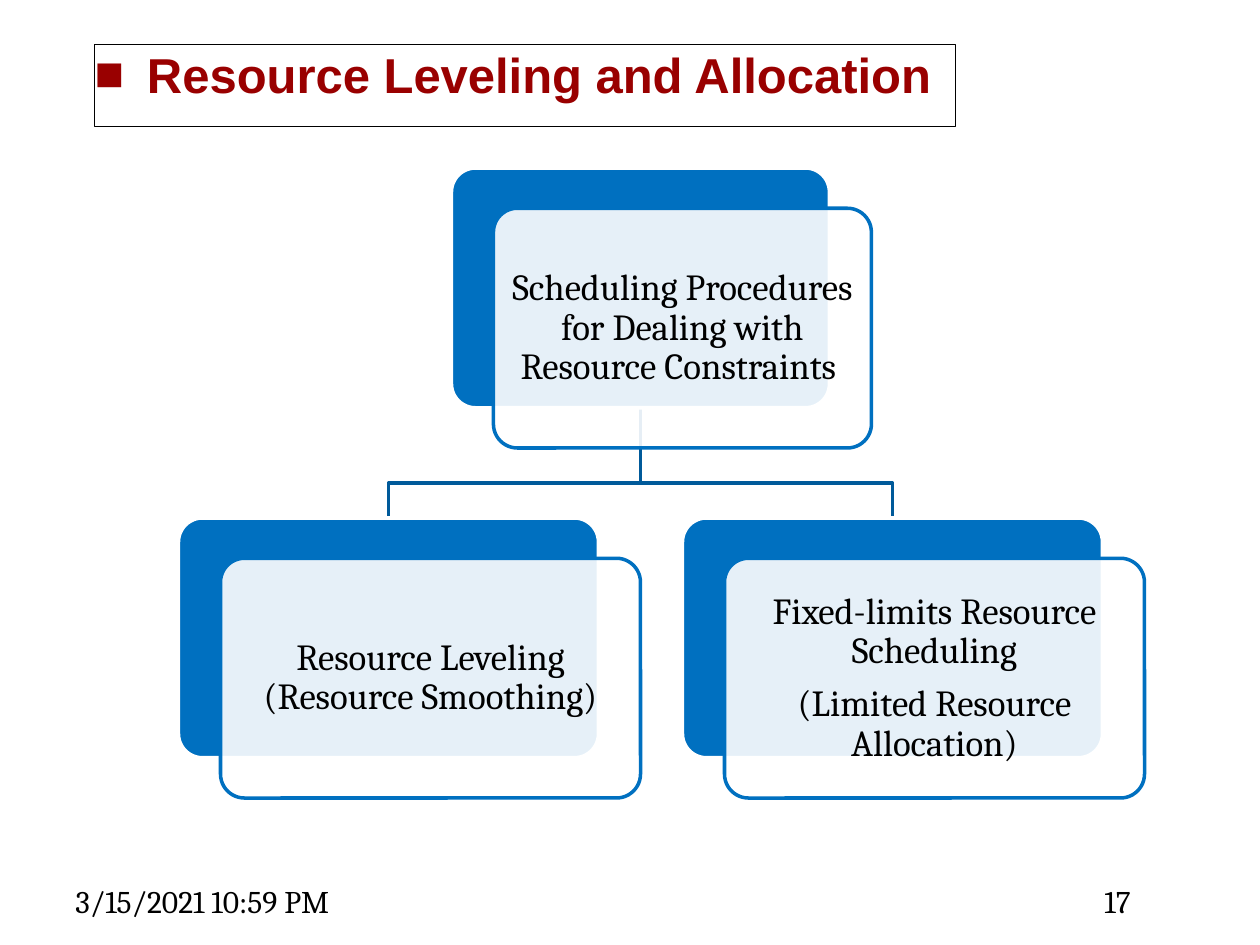
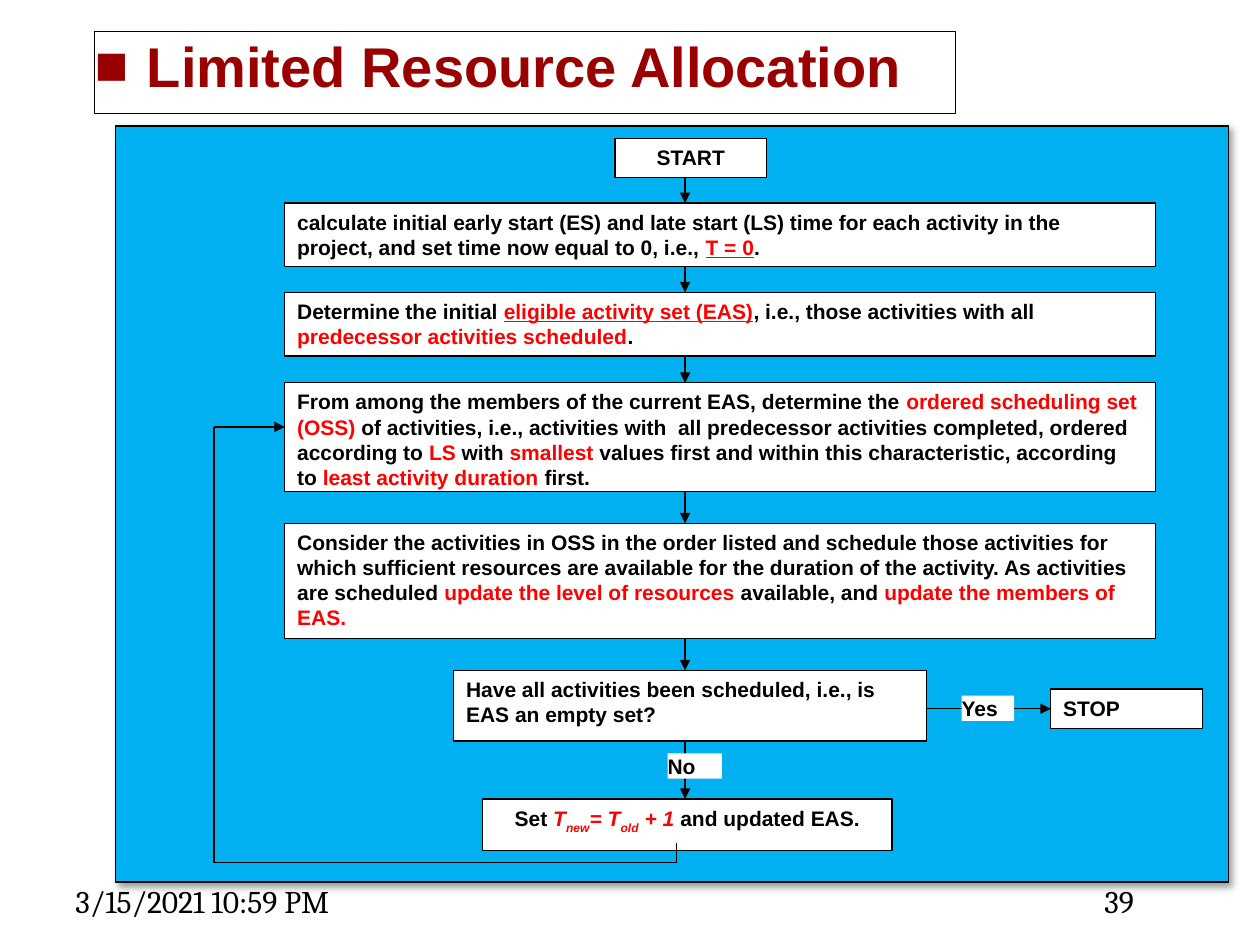
"""Build two slides on resource leveling and limited resource allocation."""
from itertools import pairwise

from lxml import etree
from pptx import Presentation
from pptx.dml.color import RGBColor
from pptx.enum import shapes, text
from pptx.oxml import ns
from pptx.util import Pt

COLORS = {
    "white": "FFFFFF", "black": "000000", "title": "990000", "red": "FF0000",
    "card": "0070C0", "branch": "005A9A", "panel": "00B0F0",
}
STYLES = {
    "plain": {},
    "red": {"color": "red"},
    "red_line": {"color": "red", "underline": True},
    "formula": {"color": "red", "italic": True},
    "formula_sub": {"color": "red", "italic": True, "baseline": -30000},
}
DATE = "3/15/2021 10:59 PM"
LEFT, CENTER = text.PP_ALIGN.LEFT, text.PP_ALIGN.CENTER
TOP, MIDDLE = text.MSO_ANCHOR.TOP, text.MSO_ANCHOR.MIDDLE

CARD_H, CARD_DX, CARD_DY, BRANCH_Y = 137, 24, 23, 276
ROOT = (258, 96, 216, ["Scheduling Procedures for Dealing with Resource Constraints "])
CHILDREN = [
    (102, 296, 240, ["Resource Leveling (Resource Smoothing)"]),
    (390, 296, 240, ["Fixed-limits Resource Scheduling", "(Limited Resource Allocation)"]),
]

STEP_X, STEP_W, SPINE_X = 162.75, 497.5, 391.5
START = ((351.5, 79, 86.5, 22.5), "START")
STEPS = [
    (116, 36.5, [
        ("calculate initial early start (ES) and late start (LS) time for each activity "
         "in the project, and set time now equal to 0, i.e., ", "plain"),
        ("T = 0", "red_line"), (".", "plain")]),
    (167, 36.5, [
        ("Determine the initial ", "plain"), ("eligible activity set (EAS)", "red_line"),
        (", i.e., those activities with all ", "plain"),
        ("predecessor activities scheduled", "red"), (".", "plain")]),
    (218.75, 62, [
        ("From among the members of the current EAS, determine the ", "plain"),
        ("ordered scheduling set (OSS)", "red"),
        (" of activities, i.e., activities with  all predecessor activities completed, "
         "ordered according to ", "plain"),
        ("LS", "red"), (" with ", "plain"), ("smallest", "red"),
        (" values first and within this characteristic, according to ", "plain"),
        ("least activity duration ", "red"), ("first.", "plain")]),
    (299, 66, [
        ("Consider the activities in OSS in the order listed and schedule those activities "
         "for which sufficient resources are available for the duration of the activity. "
         "As activities are scheduled ", "plain"),
        ("update the level of resources ", "red"), ("available, and ", "plain"),
        ("update the members of EAS.", "red")]),
]
DECISION = ((259.25, 383, 270, 40.5),
            "Have all activities been scheduled, i.e., is EAS an empty set?")
UPDATE = ((275.75, 456.5, 234, 29.5), [
    ("Set ", "plain"), ("T", "formula"), ("new", "formula_sub"), ("= T", "formula"),
    ("old", "formula_sub"), (" + 1 ", "formula"), ("and updated EAS.", "plain")])
STOP = ((600.5, 393.75, 86.5, 22.5), "STOP")
LABELS = [((549.5, 397.5, 30, 14.5), "Yes"), ((381.5, 430.5, 31, 14.5), "No")]
LOOP = [(386.5, 481.75), (386.5, 493), (122.25, 493), (122.25, 244), (STEP_X, 244)]


def rgb(name):
    return RGBColor.from_string(COLORS[name])


def child(parent, tag, **attrs):
    return etree.SubElement(parent, ns.qn(tag), **attrs)


def write(sp, paras, size=12, font="Arial", color="black", bold=False, align=LEFT,
          anchor=TOP, inset=(7.2, 3.6), spacing=None, before=None, after=None):
    tf = sp.text_frame
    tf.word_wrap, tf.auto_size, tf.vertical_anchor = True, text.MSO_AUTO_SIZE.NONE, anchor
    tf.margin_left = tf.margin_right = Pt(inset[0])
    tf.margin_top = tf.margin_bottom = Pt(inset[1])
    for i, runs in enumerate(paras):
        p = tf.add_paragraph() if i else tf.paragraphs[0]
        p.alignment, p.line_spacing = align, spacing
        p.space_before = None if before is None else Pt(before)
        p.space_after = None if after is None else Pt(after)
        for words, style in [(runs, "plain")] if isinstance(runs, str) else runs:
            look = STYLES[style]
            r = p.add_run()
            r.text = words
            f = r.font
            f.name, f.size, f.bold = font, Pt(size), bold
            f.italic, f.underline = look.get("italic"), look.get("underline")
            f.color.rgb = rgb(look.get("color", color))
            if "baseline" in look:
                r._r.get_or_add_rPr().set("baseline", str(look["baseline"]))


def paint(sp, fill, line, width=0.75):
    sp.fill.solid()
    sp.fill.fore_color.rgb = rgb(fill)
    if line:
        sp.line.color.rgb = rgb(line)
        sp.line.width = Pt(width)
    else:
        sp.line.fill.background()


def box(s, place, fill="white", line="black", width=0.75, kind=shapes.MSO_SHAPE.RECTANGLE):
    sp = s.shapes.add_shape(kind, *map(Pt, place))
    sp.shadow.inherit = False
    paint(sp, fill, line, width)
    return sp


def flow_box(s, place, runs, **fmt):
    sp = box(s, place)
    write(sp, [runs], bold=True, **fmt)
    return sp


def connect(s, start, end, arrow=True):
    c = s.shapes.add_connector(shapes.MSO_CONNECTOR.STRAIGHT, *map(Pt, (*start, *end)))
    c.line.color.rgb = rgb("black")
    c.line.width = Pt(0.75)
    if arrow:
        child(c.line._get_or_add_ln(), "a:tailEnd", type="triangle")
    child(c._element.spPr, "a:effectLst")
    return c


def new_slide(prs, title, size, top, number):
    s = prs.slides.add_slide(prs.slide_layouts[5])
    sp = s.shapes.title
    sp.left, sp.top, sp.width, sp.height = map(Pt, (54, top, 492, 47))
    paint(sp, "white", "black")
    write(sp, [title], size=size, color="title", bold=True, inset=(0, 0), before=3.5)
    pPr = sp.text_frame.paragraphs[0]._p.get_or_add_pPr()
    pPr.set("marL", str(Pt(30)))
    pPr.set("indent", str(Pt(-30)))
    child(child(pPr, "a:buClr"), "a:srgbClr", val=COLORS["title"])
    child(pPr, "a:buFont", typeface="Arial")
    child(pPr, "a:buChar", char="■")
    for left, width, words in ((36, 168, DATE), (624, 60, number)):
        footer = s.shapes.add_textbox(Pt(left), Pt(500.5), Pt(width), Pt(29))
        write(footer, [words], size=18, font="Cambria")
    return s


def branch(s, start, end):
    (x0, y0), (x1, y1) = start, end
    fb = s.shapes.build_freeform(Pt(x0), Pt(y0))
    fb.add_line_segments([(Pt(x), Pt(y)) for x, y in
                          ((x0, BRANCH_Y), (x1, BRANCH_Y), (x1, y1))], close=False)
    sp = fb.convert_to_shape()
    sp.shadow.inherit = False
    sp.fill.background()
    sp.line.color.rgb = rgb("branch")
    sp.line.width = Pt(2)


def card(s, x, y, w, paras):
    layers = ((0, 0, "card", "white"), (CARD_DX, CARD_DY, "white", "card"))
    for dx, dy, fill, line in layers:
        sp = box(s, (x + dx, y + dy, w, CARD_H), fill, line, 2,
                 shapes.MSO_SHAPE.ROUNDED_RECTANGLE)
        sp.adjustments[0] = 0.1
    child(sp._element.spPr.find(ns.qn("a:solidFill"))[0], "a:alpha", val="90000")
    write(sp, paras, size=21, font="Cambria", align=CENTER, anchor=MIDDLE,
          inset=(6.5, 6.5), spacing=0.9, after=7.35)


def build_tree(prs):
    s = new_slide(prs, "Resource Leveling and Allocation", 28, 25.25, "17")
    x, y, w, _ = ROOT
    for cx, cy, cw, _ in CHILDREN:
        branch(s, (x + w / 2, y + CARD_H), (cx + cw / 2, cy))
    for node in (ROOT, *CHILDREN):
        card(s, *node)


def build_flow(prs):
    s = new_slide(prs, "Limited Resource Allocation", 32, 18, "39")
    panel = box(s, (66, 72, 636, 432), "panel")
    shadow = child(panel._element.spPr.find(ns.qn("a:effectLst")), "a:outerShdw",
                   blurRad=str(Pt(4)), dist=str(Pt(3)), dir="2700000", algn="tl",
                   rotWithShape="0")
    child(child(shadow, "a:srgbClr", val=COLORS["black"]), "a:alpha", val="40000")

    flow_box(s, *START, align=CENTER)
    steps = [((STEP_X, y, STEP_W, h), runs) for y, h, runs in STEPS]
    for place, runs in (*steps, DECISION):
        flow_box(s, place, runs)
    flow_box(s, *UPDATE, align=CENTER, inset=(3.6, 3.6))
    stop = flow_box(s, *STOP)

    spine = [place for place, _ in (START, *steps, DECISION, UPDATE)]
    for (_, y, _, h), (_, below, _, _) in pairwise(spine):
        connect(s, (SPINE_X, y + h), (SPINE_X, below))
    x, _, w, _ = DECISION[0]
    sx, sy, _, sh = STOP[0]
    connect(s, (x + w, sy + sh / 2), (sx, sy + sh / 2)).end_connect(stop, 1)
    for start, end in pairwise(LOOP):
        connect(s, start, end, arrow=end == LOOP[-1])
    for place, words in LABELS:
        write(box(s, place, line=None), [words], bold=True, inset=(0, 0))


def main():
    prs = Presentation()
    prs.slide_width, prs.slide_height = Pt(720), Pt(540)
    build_tree(prs)
    build_flow(prs)
    prs.save("out.pptx")


if __name__ == "__main__":
    main()
